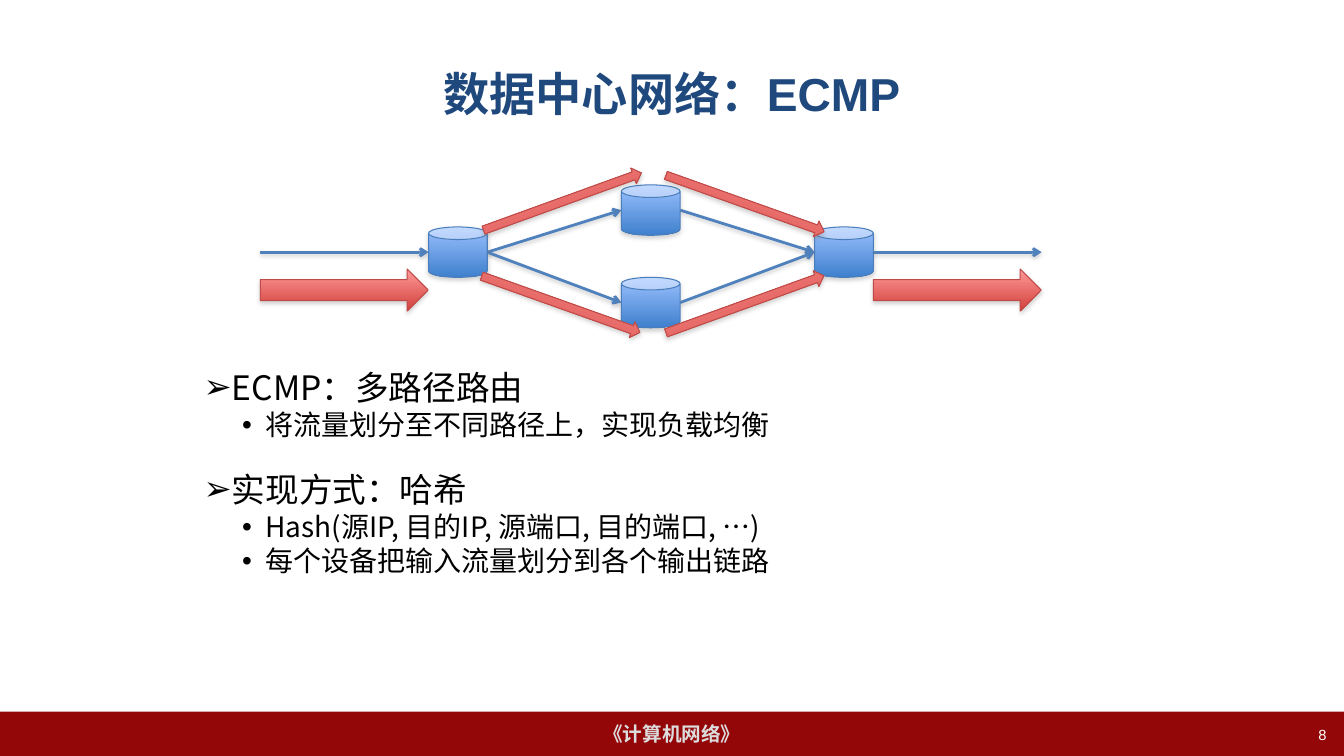
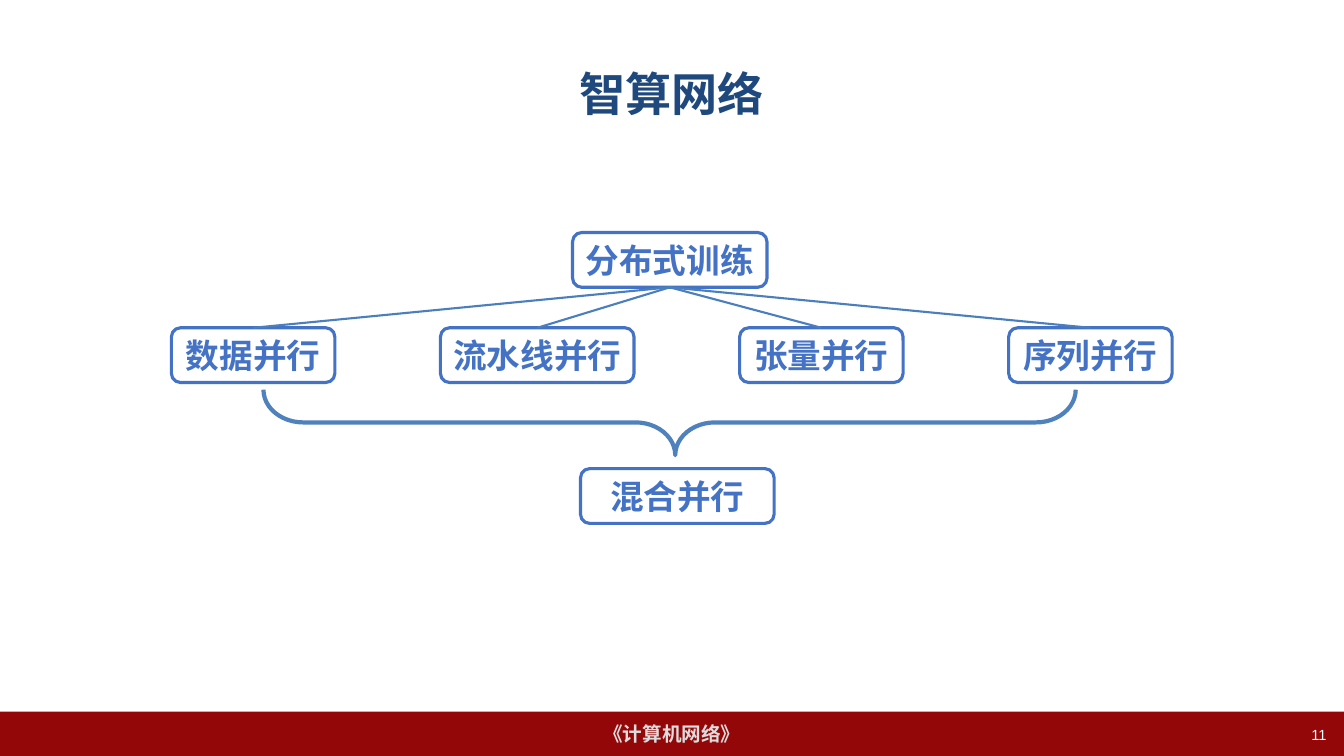
from dataclasses import dataclass
from itertools import product
from typing import NamedTuple

from lxml import etree
from pptx import Presentation
from pptx.dml.color import RGBColor
from pptx.enum import shapes, text
from pptx.oxml import ns
from pptx.util import Cm, Pt


@dataclass(frozen=True)
class Theme:
    title: str = "1F497D"
    body: str = "000000"
    band: str = "940709"
    band_text: str = "DDDDDD"
    number: str = "FFFFFF"
    link: str = "4F81BD"
    node_fill: str = "FFFFFF"
    node: str = "4472C4"
    branch: str = "4B7EBC"
    shadow: str = "808080"
    router: tuple = ("9BC1FF", "3F80CD", "4A7EBB")
    flow: tuple = ("FF9A99", "D1403C", "BE4B48")
    latin: str = "Arial"
    cjk: str = "Noto Sans CJK SC"
    title_size: float = 33
    heading_size: float = 24
    item_size: float = 20
    band_size: float = 14
    number_size: float = 10.5


THEME = Theme()
WIDTH, HEIGHT = 33.87, 19.05
BAND_TOP = 17.93


class Box(NamedTuple):
    left: float
    top: float
    width: float
    height: float
    turn: float = 0

    @property
    def west(self):
        return self.left, self.top + self.height / 2

    @property
    def east(self):
        return self.left + self.width, self.top + self.height / 2

    @property
    def north(self):
        return self.left + self.width / 2, self.top

    @property
    def south(self):
        return self.left + self.width / 2, self.top + self.height

    def lengths(self):
        return [Cm(v) for v in self[:4]]


class Level(NamedTuple):
    bullet: str
    margin: float
    hanging: float
    size: float
    before: float


class Item(NamedTuple):
    level: int
    words: str
    after: float = 0


LEVELS = (Level("➢", 0.71, 0.71, THEME.heading_size, 12),
          Level("•", 1.55, 0.58, THEME.item_size, 4))


def rgb(color: str) -> RGBColor:
    return RGBColor.from_string(color)


def add_xml(parent, tag: str, **attributes):
    child = etree.SubElement(parent, ns.qn(tag))
    for key, value in attributes.items():
        child.set(key, str(value))
    return child


def write(paragraph, words: str, *, size: float, color: str, bold: bool = False,
          font: str = THEME.latin, align=None) -> None:
    run = paragraph.add_run()
    run.text = words
    run.font.size = Pt(size)
    run.font.bold = bold
    run.font.color.rgb = rgb(color)
    run.font.name = font
    add_xml(run.font._element, "a:ea", typeface=THEME.cjk)
    if align is not None:
        paragraph.alignment = align


def place(shape, box: Box) -> None:
    shape.left, shape.top, shape.width, shape.height = box.lengths()


def cast_shadow(shape, distance: int, opacity: int) -> None:
    effects = add_xml(shape.element.spPr, "a:effectLst")
    outer = add_xml(effects, "a:outerShdw", blurRad=Pt(3.1), dist=distance,
                    dir=5400000, rotWithShape=0)
    tint = add_xml(outer, "a:srgbClr", val=THEME.shadow)
    add_xml(tint, "a:alpha", val=opacity * 1000)


def add_preset(slide, kind, box: Box, *, fill: str | None = None,
               line: str | None = None, weight: float = 0.75, adjust: tuple = ()):
    shape = slide.shapes.add_shape(kind, *box.lengths())
    shape.rotation = box.turn
    for index, value in enumerate(adjust):
        shape.adjustments[index] = value
    if fill:
        shape.fill.solid()
        shape.fill.fore_color.rgb = rgb(fill)
    else:
        shape.fill.background()
    if line:
        shape.line.color.rgb = rgb(line)
        shape.line.width = Pt(weight)
    else:
        shape.line.fill.background()
    shape.shadow.inherit = False
    return shape


def add_glossy(slide, kind, box: Box, colors: tuple, adjust: tuple) -> None:
    """Draw a shape with a top-down gradient and a soft shadow."""
    top, bottom, outline = colors
    shape = add_preset(slide, kind, box, line=outline, adjust=adjust)
    shape.fill.gradient()
    shape.fill.gradient_angle = 270
    for stop, color in zip(shape.fill.gradient_stops, (top, bottom)):
        stop.color.rgb = rgb(color)
    properties = shape.element.spPr
    properties.remove(properties.find(ns.qn("a:effectLst")))
    cast_shadow(shape, Pt(1.8), 35)


def add_line(slide, start: tuple, end: tuple, color: str, weight: float,
             arrow: bool = False) -> None:
    ends = [Cm(v) for v in (*start, *end)]
    line = slide.shapes.add_connector(shapes.MSO_CONNECTOR.STRAIGHT, *ends)
    line.line.color.rgb = rgb(color)
    line.line.width = Pt(weight)
    if arrow:
        add_xml(line.element.spPr.find(ns.qn("a:ln")), "a:tailEnd", type="arrow")
        cast_shadow(line, Pt(1.6), 38)
    else:
        add_xml(line.element.spPr, "a:effectLst")


def add_band(deck, slide) -> None:
    """Put the footer band on the master, where all slides share it."""
    band = add_preset(slide, shapes.MSO_SHAPE.RECTANGLE,
                      Box(0, BAND_TOP, WIDTH, HEIGHT - BAND_TOP), fill=THEME.band)
    band.text_frame.word_wrap = False
    band.text_frame.vertical_anchor = text.MSO_ANCHOR.MIDDLE
    write(band.text_frame.paragraphs[0], "《计算机网络》", size=THEME.band_size,
          color=THEME.band_text, bold=True, align=text.PP_ALIGN.CENTER)
    band.element.nvSpPr.cNvPr.set("id", "99")
    deck.slide_master.shapes.element.insert(2, band.element)


def start_slide(deck, layout: int, title: str, number: int):
    slide = deck.slides.add_slide(deck.slide_layouts[layout])
    heading = slide.shapes.title
    place(heading, Box(1.69, 0.76, 30.48, 3.18))
    heading.text_frame.vertical_anchor = text.MSO_ANCHOR.MIDDLE
    write(heading.text_frame.paragraphs[0], title, size=THEME.title_size,
          color=THEME.title, bold=True, align=text.PP_ALIGN.CENTER)
    corner = slide.shapes.add_textbox(*Box(25.78, 18.16, 7.9, 0.89).lengths())
    corner.text_frame.word_wrap = True
    write(corner.text_frame.paragraphs[0], str(number), size=THEME.number_size,
          color=THEME.number, align=text.PP_ALIGN.RIGHT)
    return slide


def fill_list(body, items: list[Item]) -> None:
    frame = body.text_frame
    frame.word_wrap = True
    frame.auto_size = text.MSO_AUTO_SIZE.NONE
    for index, item in enumerate(items):
        paragraph = frame.add_paragraph() if index else frame.paragraphs[0]
        level = LEVELS[item.level]
        paragraph.level = item.level
        properties = paragraph._p.get_or_add_pPr()
        properties.set("marL", str(Cm(level.margin)))
        properties.set("indent", str(-Cm(level.hanging)))
        add_xml(properties, "a:buFont", typeface=THEME.latin)
        add_xml(properties, "a:buChar", char=level.bullet)
        paragraph.line_spacing = 0.85
        paragraph.space_before = Pt(level.before if index else 0)
        paragraph.space_after = Pt(item.after)
        write(paragraph, item.words, size=level.size, color=THEME.body, font=THEME.cjk)


def build_ecmp(slide) -> None:
    body = slide.placeholders[1]
    place(body, Box(4.88, 9.27, 23.5, 8.05))
    fill_list(body, [
        Item(0, "ECMP：多路径路由"),
        Item(1, "将流量划分至不同路径上，实现负载均衡", after=12),
        Item(0, "实现方式：哈希"),
        Item(1, "Hash(源IP, 目的IP, 源端口, 目的端口, …)"),
        Item(1, "每个设备把输入流量划分到各个输出链路"),
    ])

    ingress, egress, upper, lower = routers = [
        Box(left, top, 1.48, 1.27)
        for left, top in ((10.8, 5.72), (20.53, 5.72), (15.66, 4.66), (15.66, 6.99))]
    middle = ingress.west[1]
    links = [((6.56, middle), ingress.west), (egress.east, (26.25, middle))]
    for relay in (upper, lower):
        links += [(ingress.east, relay.west), (relay.east, egress.west)]
    for start, end in links:
        add_line(slide, start, end, THEME.link, 2, arrow=True)
    for router in routers:
        add_glossy(slide, shapes.MSO_SHAPE.CAN, router, THEME.router, (0.25,))

    flows = [Box(left, 6.78, 4.23, 1.06) for left in (6.56, 22.01)]
    flows += [Box(left, top, 4.23, 0.42, turn) for left, top, turn in (
        (12.06, 4.87, 340.1), (16.66, 7.46, 340.1),
        (16.66, 4.92, 19.6), (12.02, 7.46, 19.6))]
    for flow in flows:
        add_glossy(slide, shapes.MSO_SHAPE.RIGHT_ARROW, flow, THEME.flow, (0.5, 0.5))


def add_node(slide, words: str, box: Box) -> None:
    node = add_preset(slide, shapes.MSO_SHAPE.ROUNDED_RECTANGLE, box,
                      fill=THEME.node_fill, line=THEME.node, weight=2.25,
                      adjust=(0.167,))
    node.text_frame.word_wrap = True
    node.text_frame.vertical_anchor = text.MSO_ANCHOR.MIDDLE
    write(node.text_frame.paragraphs[0], words, size=THEME.heading_size,
          color=THEME.node, bold=True, align=text.PP_ALIGN.CENTER)


def build_training(slide) -> None:
    node_height, gap = 1.38, 2.66
    root = Box(14.43, 5.86, 4.9, node_height)
    add_node(slide, "分布式训练", root)

    methods = []
    left = 4.32
    for words, width in (("数据并行", 4.12), ("流水线并行", 4.88),
                         ("张量并行", 4.12), ("序列并行", 4.12)):
        method = Box(left, 8.26, width, node_height)
        add_node(slide, words, method)
        methods.append(method)
        left += width + gap

    brace = add_preset(slide, shapes.MSO_SHAPE.RIGHT_BRACE,
                       Box(16.05, 0.41, 1.65, 20.47, 270), line=THEME.link,
                       weight=3, adjust=(0.607, 0.507))
    brace.element.spPr.xfrm.set("flipH", "1")
    add_node(slide, "混合并行", Box(14.63, 11.81, 4.88, node_height))
    for start, method in product([root.south], methods):
        add_line(slide, start, method.north, THEME.branch, 1.5)


def main() -> None:
    deck = Presentation()
    deck.slide_width, deck.slide_height = Cm(WIDTH), Cm(HEIGHT)
    ecmp = start_slide(deck, 1, "数据中心网络：ECMP", 8)
    add_band(deck, ecmp)
    build_ecmp(ecmp)
    build_training(start_slide(deck, 5, "智算网络", 11))
    deck.save("out.pptx")


if __name__ == "__main__":
    main()
